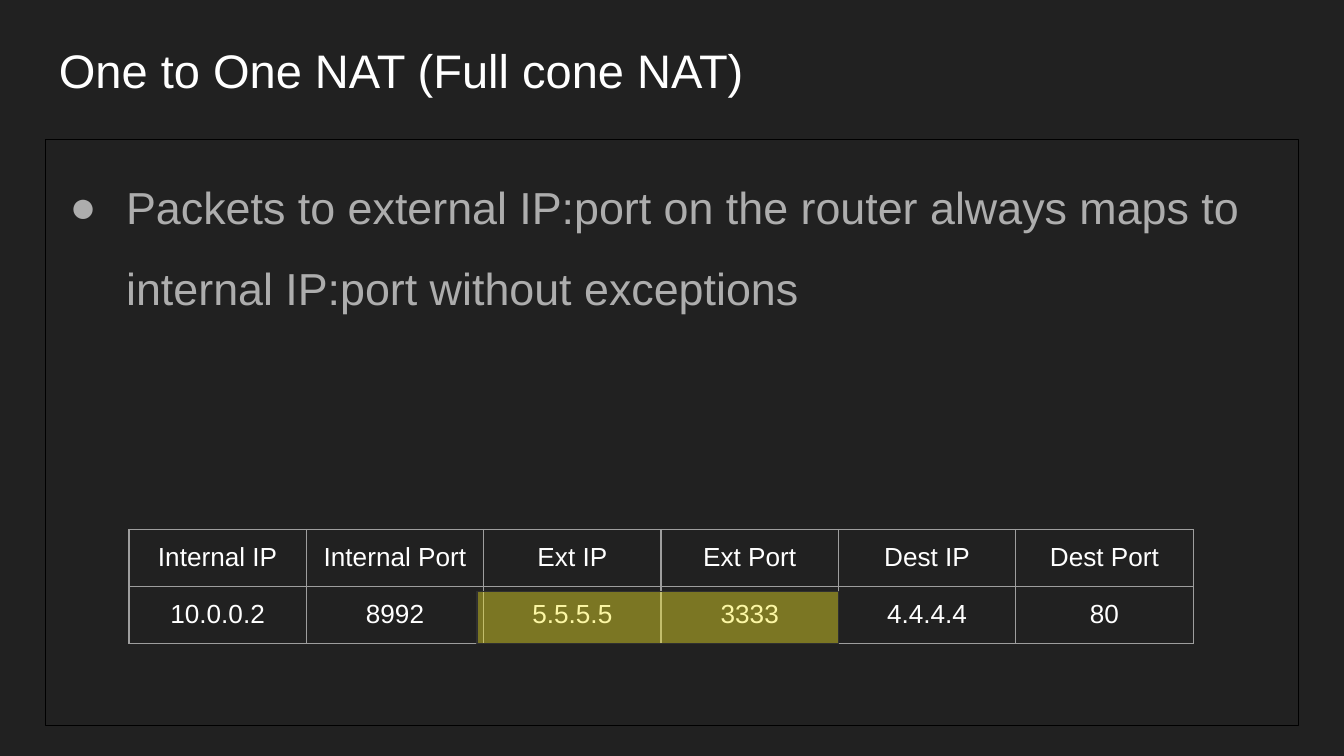
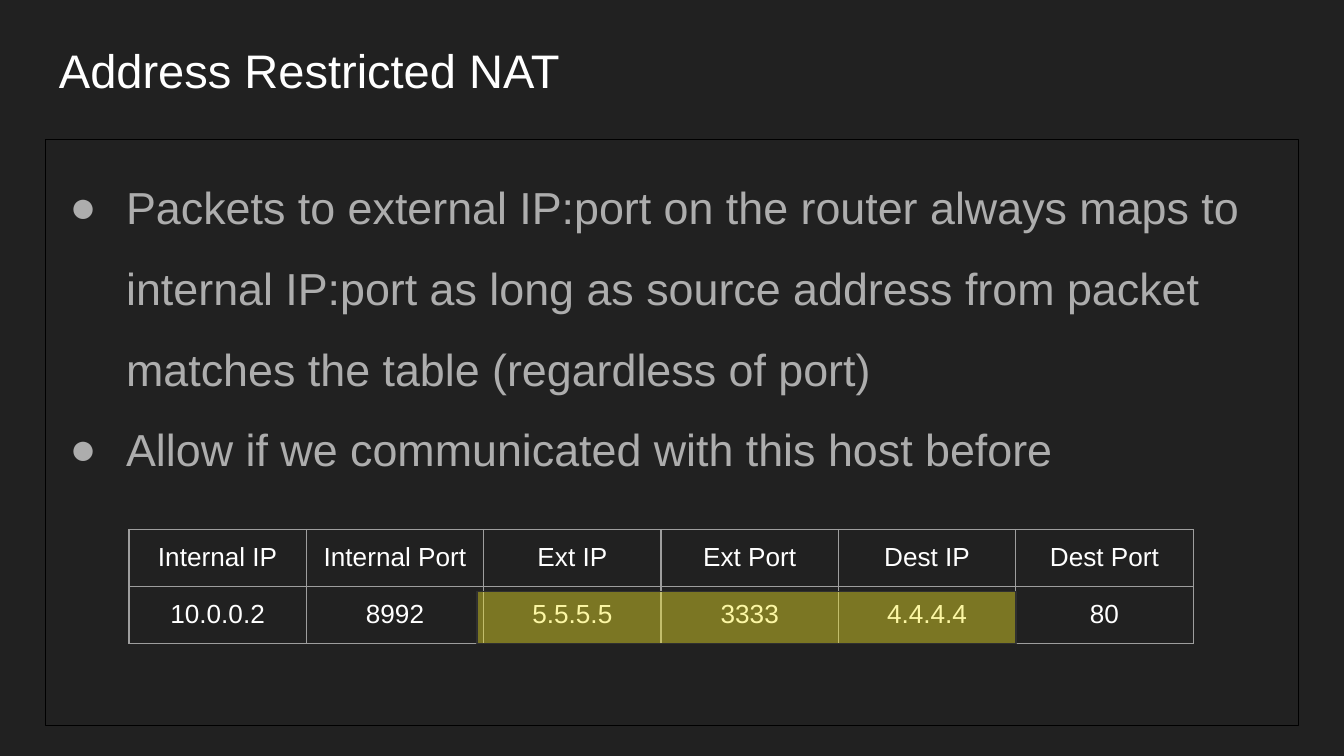
from dataclasses import dataclass

from lxml import etree
from pptx import Presentation
from pptx.dml.color import RGBColor
from pptx.enum.shapes import MSO_SHAPE
from pptx.enum.text import MSO_ANCHOR, PP_ALIGN
from pptx.oxml.ns import qn
from pptx.util import Inches, Pt

RECTANGLE = MSO_SHAPE.RECTANGLE
CENTER = PP_ALIGN.CENTER
TOP = MSO_ANCHOR.TOP
BLANK_LAYOUT = 6


@dataclass(frozen=True)
class Theme:
    font: str = "Arial"
    background: str = "212121"
    title: str = "FFFFFF"
    body: str = "ADADAD"
    frame: str = "000000"
    cell_text: str = "FFFFFF"
    grid: str = "9E9E9E"
    highlight: str = "F8EC28"
    highlight_line: str = "303030"
    highlight_opacity: int = 42
    title_size: float = 25.2
    body_size: float = 24
    cell_size: float = 14
    line_width: float = 0.75


THEME = Theme()

MARGIN, CONTENT_WIDTH, INSET = 0.34, 9.32, 0.1
TABLE_LEFT, TABLE_TOP = 0.96, 3.94
COLUMN_WIDTH, ROW_HEIGHT, CELL_BOTTOM_INSET = 1.32, 0.42, 0.09
HIGHLIGHT_LEFT, HIGHLIGHT_TOP, HIGHLIGHT_HEIGHT = 3.55, 4.4, 0.39

NAT_TABLE = [
    ["Internal IP", "Internal Port", "Ext IP", "Ext Port", "Dest IP", "Dest Port"],
    ["10.0.0.2", "8992", "5.5.5.5", "3333", "4.4.4.4", "80"],
]

# Title, bullets, last highlighted column of the table
NAT_SLIDES = [
    (
        "One to One NAT (Full cone NAT)",
        ["Packets to external IP:port on the router always maps to "
         "internal IP:port without exceptions"],
        "Ext Port",
    ),
    (
        "Address Restricted NAT",
        ["Packets to external IP:port on the router always maps to "
         "internal IP:port as long as source address from packet "
         "matches the table (regardless of port)",
         "Allow if we communicated with this host before"],
        "Dest IP",
    ),
]


def rgb(value):
    return RGBColor.from_string(value)


def add_color(parent, value):
    """Append a solid colour element to an XML parent."""
    return etree.SubElement(parent, qn("a:srgbClr"), val=value)


def style_paragraph(paragraph, size, color):
    paragraph.font.name = THEME.font
    paragraph.font.size = Pt(size)
    paragraph.font.color.rgb = rgb(color)


def style_line(line, color):
    line.color.rgb = rgb(color)
    line.width = Pt(THEME.line_width)


def add_text_box(slide, top, height):
    """Add a content-wide box with even insets."""
    box = slide.shapes.add_textbox(
        Inches(MARGIN), Inches(top), Inches(CONTENT_WIDTH), Inches(height))
    frame = box.text_frame
    frame.word_wrap = True
    frame.vertical_anchor = TOP
    frame.margin_left = frame.margin_right = Inches(INSET)
    frame.margin_top = frame.margin_bottom = Inches(INSET)
    return box


def add_title(slide, text):
    heading = add_text_box(slide, 0.21, 0.63).text_frame.paragraphs[0]
    heading.text = text
    style_paragraph(heading, THEME.title_size, THEME.title)


def add_bullet(paragraph):
    properties = paragraph._p.get_or_add_pPr()
    properties.set("marL", str(Inches(0.5)))
    properties.set("indent", str(Inches(-0.42)))
    add_color(etree.SubElement(properties, qn("a:buClr")), THEME.body)
    etree.SubElement(properties, qn("a:buFont"), typeface=THEME.font)
    etree.SubElement(properties, qn("a:buChar"), char="●")


def add_bullet_panel(slide, points):
    panel = add_text_box(slide, 1.04, 4.36)
    style_line(panel.line, THEME.frame)
    frame = panel.text_frame
    for index, point in enumerate(points):
        paragraph = frame.add_paragraph() if index else frame.paragraphs[0]
        paragraph.text = point
        add_bullet(paragraph)
        paragraph.line_spacing = 1.5
        style_paragraph(paragraph, THEME.body_size, THEME.body)


def add_cell_borders(cell):
    properties = cell._tc.get_or_add_tcPr()
    for side in ("lnL", "lnR", "lnT", "lnB"):
        border = etree.SubElement(
            properties, qn(f"a:{side}"), w=str(Pt(THEME.line_width)))
        add_color(etree.SubElement(border, qn("a:solidFill")), THEME.grid)


def fill_cell(cell, text):
    add_cell_borders(cell)
    cell.fill.background()
    cell.margin_left = cell.margin_right = cell.margin_top = Inches(INSET)
    cell.margin_bottom = Inches(CELL_BOTTOM_INSET)
    paragraph = cell.text_frame.paragraphs[0]
    paragraph.text = text
    paragraph.alignment = CENTER
    style_paragraph(paragraph, THEME.cell_size, THEME.cell_text)


def add_nat_table(slide):
    row_count, column_count = len(NAT_TABLE), len(NAT_TABLE[0])
    table = slide.shapes.add_table(
        row_count, column_count, Inches(TABLE_LEFT), Inches(TABLE_TOP),
        Inches(COLUMN_WIDTH * column_count),
        Inches(ROW_HEIGHT * row_count)).table
    table.first_row = table.horz_banding = False
    for column in table.columns:
        column.width = Inches(COLUMN_WIDTH)
    for row, values in zip(table.rows, NAT_TABLE):
        row.height = Inches(ROW_HEIGHT)
        for cell, value in zip(row.cells, values):
            fill_cell(cell, value)


def add_highlight(slide, last_column):
    """Mark the matched values, up to the right edge of last_column."""
    columns = NAT_TABLE[0].index(last_column) + 1
    right = TABLE_LEFT + COLUMN_WIDTH * columns
    marker = slide.shapes.add_shape(
        RECTANGLE, Inches(HIGHLIGHT_LEFT), Inches(HIGHLIGHT_TOP),
        Inches(right - HIGHLIGHT_LEFT), Inches(HIGHLIGHT_HEIGHT))
    marker.shadow.inherit = False
    marker.fill.solid()
    marker.fill.fore_color.rgb = rgb(THEME.highlight)
    fill_color = marker._element.spPr.find(qn("a:solidFill")).find(qn("a:srgbClr"))
    etree.SubElement(
        fill_color, qn("a:alpha"), val=str(THEME.highlight_opacity * 1000))
    style_line(marker.line, THEME.highlight_line)


def add_nat_slide(presentation, title, points, last_column):
    slide = presentation.slides.add_slide(
        presentation.slide_layouts[BLANK_LAYOUT])
    slide.background.fill.solid()
    slide.background.fill.fore_color.rgb = rgb(THEME.background)
    add_title(slide, title)
    add_bullet_panel(slide, points)
    add_nat_table(slide)
    add_highlight(slide, last_column)


def main():
    presentation = Presentation()
    presentation.slide_width = Inches(10)
    presentation.slide_height = Inches(10 * 9 / 16)
    for title, points, last_column in NAT_SLIDES:
        add_nat_slide(presentation, title, points, last_column)
    presentation.save("out.pptx")


if __name__ == "__main__":
    main()
